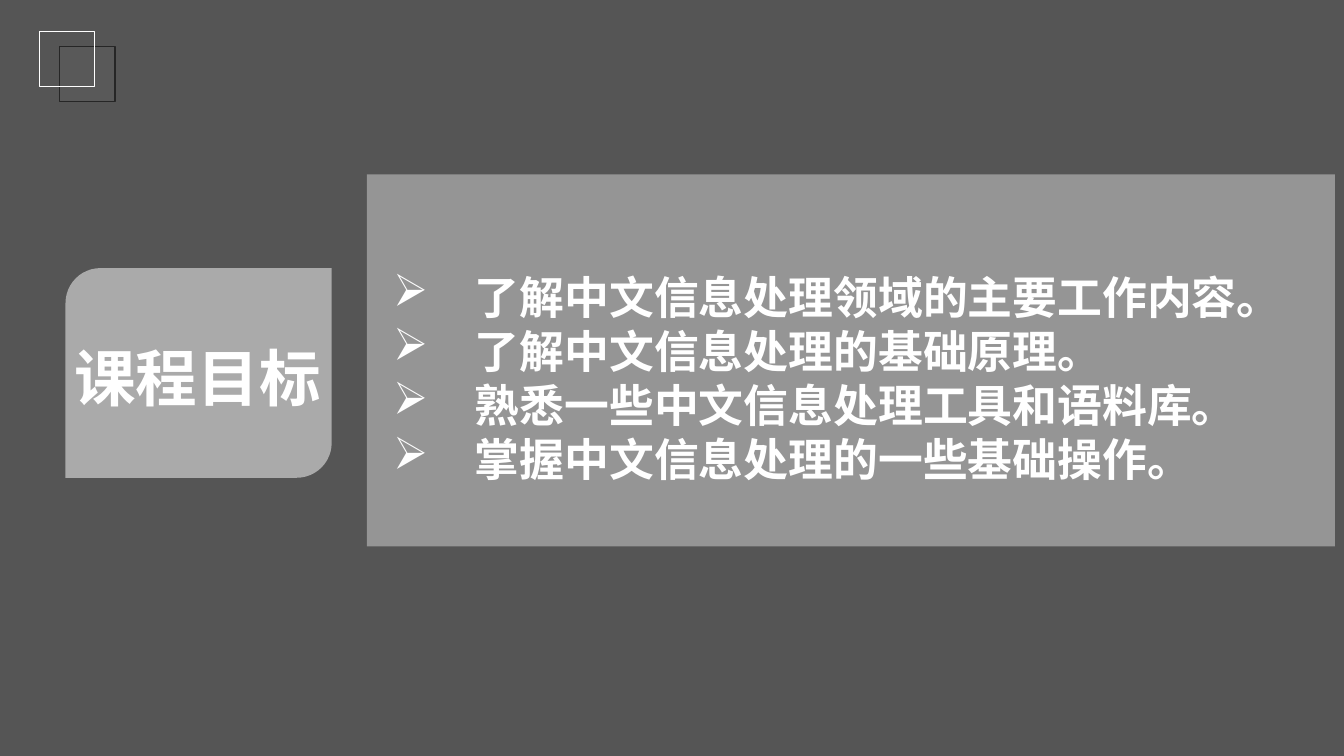
from dataclasses import dataclass

import pptx
import pptx.dml.color
import pptx.enum.shapes
import pptx.enum.text
import pptx.oxml.ns
import pptx.util
from lxml import etree

Inches = pptx.util.Inches
MSO_SHAPE = pptx.enum.shapes.MSO_SHAPE
PP_ALIGN = pptx.enum.text.PP_ALIGN
qn = pptx.oxml.ns.qn


@dataclass(frozen=True)
class Theme:
    font: str = "Noto Sans CJK SC"
    bullet_font: str = "OpenSymbol"
    white: str = "FFFFFF"
    backdrop: str = "0D0D0D"
    square: str = "595959"
    outline: str = "262626"
    title_size: int = 44
    body_size: int = 32
    leading: float = 1.206


class SlideBuilder:
    def __init__(self, slide, theme):
        self.s = slide
        self.theme = theme

    def group(self):
        return self.s.shapes.add_group_shape()

    def shape(self, box, kind=MSO_SHAPE.RECTANGLE, fill=None, alpha=None,
              line=None, parent=None):
        shapes = (parent or self.s).shapes
        sp = shapes.add_shape(kind, *map(Inches, box))
        sp.shadow.inherit = False
        if fill:
            sp.fill.solid()
            sp.fill.fore_color.rgb = pptx.dml.color.RGBColor.from_string(fill)
        else:
            sp.fill.background()
        if alpha is not None:
            color = sp.fill._xPr.find(qn("a:solidFill"))[0]
            etree.SubElement(color, qn("a:alpha"), val=str(alpha * 1000))
        if line:
            sp.line.color.rgb = pptx.dml.color.RGBColor.from_string(line)
            sp.line.width = pptx.util.Pt(1)
        else:
            sp.line.fill.background()
        return sp

    def text(self, box, lines, size, align=PP_ALIGN.LEFT, wrap=True,
             side=0.1, bullet=None, indent=0, parent=None):
        shapes = (parent or self.s).shapes
        tf = shapes.add_textbox(*map(Inches, box)).text_frame
        tf.word_wrap = wrap
        tf.margin_top = Inches(0.05)
        tf.margin_left = tf.margin_right = Inches(side)
        tf.text = "\n".join(lines)
        for p in tf.paragraphs:
            p.alignment = align
            p.line_spacing = pptx.util.Pt(round(size * self.theme.leading, 1))
            if bullet:
                self.bullet(p, bullet, indent)
            for r in p.runs:
                self.style(r, size)

    def bullet(self, p, char, indent):
        pPr = p._p.get_or_add_pPr()
        pPr.set("marL", str(Inches(indent)))
        pPr.set("indent", str(-Inches(indent)))
        etree.SubElement(pPr, qn("a:buFont"), typeface=self.theme.bullet_font)
        etree.SubElement(pPr, qn("a:buChar"), char=char)

    def style(self, r, size):
        r.font.size = pptx.util.Pt(size)
        r.font.bold = True
        r.font.color.rgb = pptx.dml.color.RGBColor.from_string(self.theme.white)
        r.font.name = self.theme.font
        etree.SubElement(r.font._element, qn("a:ea"), typeface=self.theme.font)


def main():
    prs = pptx.Presentation()
    prs.slide_width, prs.slide_height = Inches(13.33), Inches(7.5)
    theme = Theme()
    page = SlideBuilder(prs.slides.add_slide(prs.slide_layouts[6]), theme)

    page.shape((0, 0, 13.33, 7.5), fill=theme.backdrop, alpha=70)

    heading = page.group()
    page.shape((0.65, 2.66, 2.64, 2.08), MSO_SHAPE.ROUND_2_DIAG_RECTANGLE,
               fill=theme.white, alpha=50, parent=heading)
    page.text((0.65, 3.32, 2.62, 0.48), ["课程目标"], theme.title_size,
              align=PP_ALIGN.CENTER, wrap=False, side=0, parent=heading)

    page.shape((0.59, 0.46, 0.55, 0.55), fill=theme.square, line=theme.outline)
    page.shape((0.39, 0.31, 0.55, 0.55), line=theme.white)

    page.shape((3.64, 1.73, 9.6, 3.69), fill=theme.white, alpha=38)
    goals = [
        "了解中文信息处理领域的主要工作内容。",
        "了解中文信息处理的基础原理。",
        "熟悉一些中文信息处理工具和语料库。",
        "掌握中文信息处理的一些基础操作。",
    ]
    page.text((3.8, 2.62, 9.49, 2.87), goals, theme.body_size,
              bullet="➢", indent=0.81)

    prs.save("out.pptx")


if __name__ == "__main__":
    main()
